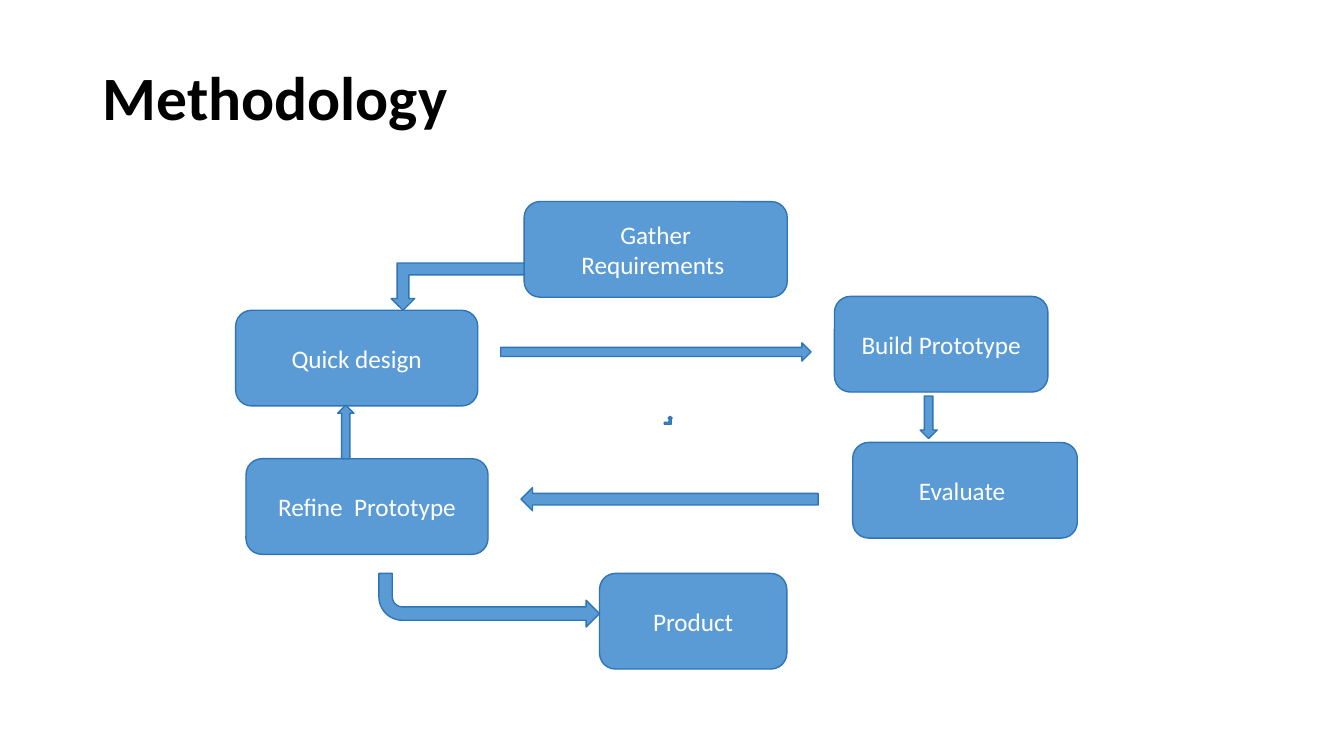
from pptx import Presentation
from pptx.dml.color import RGBColor
from pptx.enum.shapes import MSO_SHAPE as Kind
from pptx.enum.text import MSO_ANCHOR as Anchor, PP_ALIGN as Align
from pptx.util import Cm, Pt

BLUE = RGBColor(0x5B, 0x9B, 0xD5)
EDGE = RGBColor(0x2E, 0x75, 0xB6)
WHITE = RGBColor(0xFF, 0xFF, 0xFF)
BLACK = RGBColor(0, 0, 0)
FONT = "Calibri"
HIGH = 2.41

STEPS = [
    ("Gather\nRequirements ", 13.21, 5.08, 6.63),
    ("Quick design", 5.94, 7.82, 6.1),
    ("Build Prototype", 21.03, 7.47, 5.38),
    ("Refine  Prototype", 6.2, 11.56, 6.1),
    ("Evaluate ", 21.49, 11.15, 5.66),
    ("Product", 15.11, 14.45, 4.72),
]
ARROWS = [
    (Kind.RIGHT_ARROW, (12.62, 8.64, 7.82, 0.46), ""),
    (Kind.BENT_UP_ARROW, (16.74, 10.49, 0.2, 0.2), ""),
    (Kind.BENT_UP_ARROW, (9.86, 6.63, 3.35, 1.19), "HV"),
    (Kind.UP_ARROW, (8.51, 10.21, 0.41, 1.35), ""),
    (Kind.DOWN_ARROW, (23.19, 9.98, 0.43, 1.07), ""),
    (Kind.LEFT_ARROW, (13.13, 12.29, 7.49, 0.58), ""),
    (Kind.BENT_ARROW, (9.55, 14.45, 5.56, 1.35), "V"),
]


class Flow:
    """Draws the parts of a flow chart in one style on a slide."""

    def __init__(self, slide):
        self.slide = slide

    def label(self, frame, text, size, color, align, bold=False):
        frame.text = text
        frame.word_wrap = True
        frame.vertical_anchor = Anchor.MIDDLE
        for para in frame.paragraphs:
            para.alignment = align
            font = para.font
            font.name, font.size, font.bold = FONT, Pt(size), bold
            font.color.rgb = color

    def title(self, text, left, top, width, height):
        head = self.slide.shapes.title
        head.left, head.top = Cm(left), Cm(top)
        head.width, head.height = Cm(width), Cm(height)
        self.label(head.text_frame, text, 44, BLACK, Align.LEFT, True)
        head.text_frame.paragraphs[0].line_spacing = 0.9

    def shape(self, kind, area):
        shape = self.slide.shapes.add_shape(kind, *map(Cm, area))
        shape.shadow.inherit = False
        shape.fill.solid()
        shape.fill.fore_color.rgb = BLUE
        shape.line.color.rgb = EDGE
        shape.line.width = Pt(1)
        return shape

    def step(self, text, left, top, width):
        box = self.shape(Kind.ROUNDED_RECTANGLE, (left, top, width, HIGH))
        self.label(box.text_frame, text, 18, WHITE, Align.CENTER)

    def arrow(self, kind, area, flips):
        arrow = self.shape(kind, area)
        for axis in flips:
            arrow.element.spPr.xfrm.set(f"flip{axis}", "1")


def main():
    deck = Presentation()
    deck.slide_width, deck.slide_height = Cm(33.87), Cm(19.05)
    flow = Flow(deck.slides.add_slide(deck.slide_layouts[5]))
    flow.title("Methodology", 2.34, 0.69, 29.21, 3.68)
    for step in STEPS:
        flow.step(*step)
    for arrow in ARROWS:
        flow.arrow(*arrow)
    deck.save("out.pptx")


if __name__ == "__main__":
    main()
